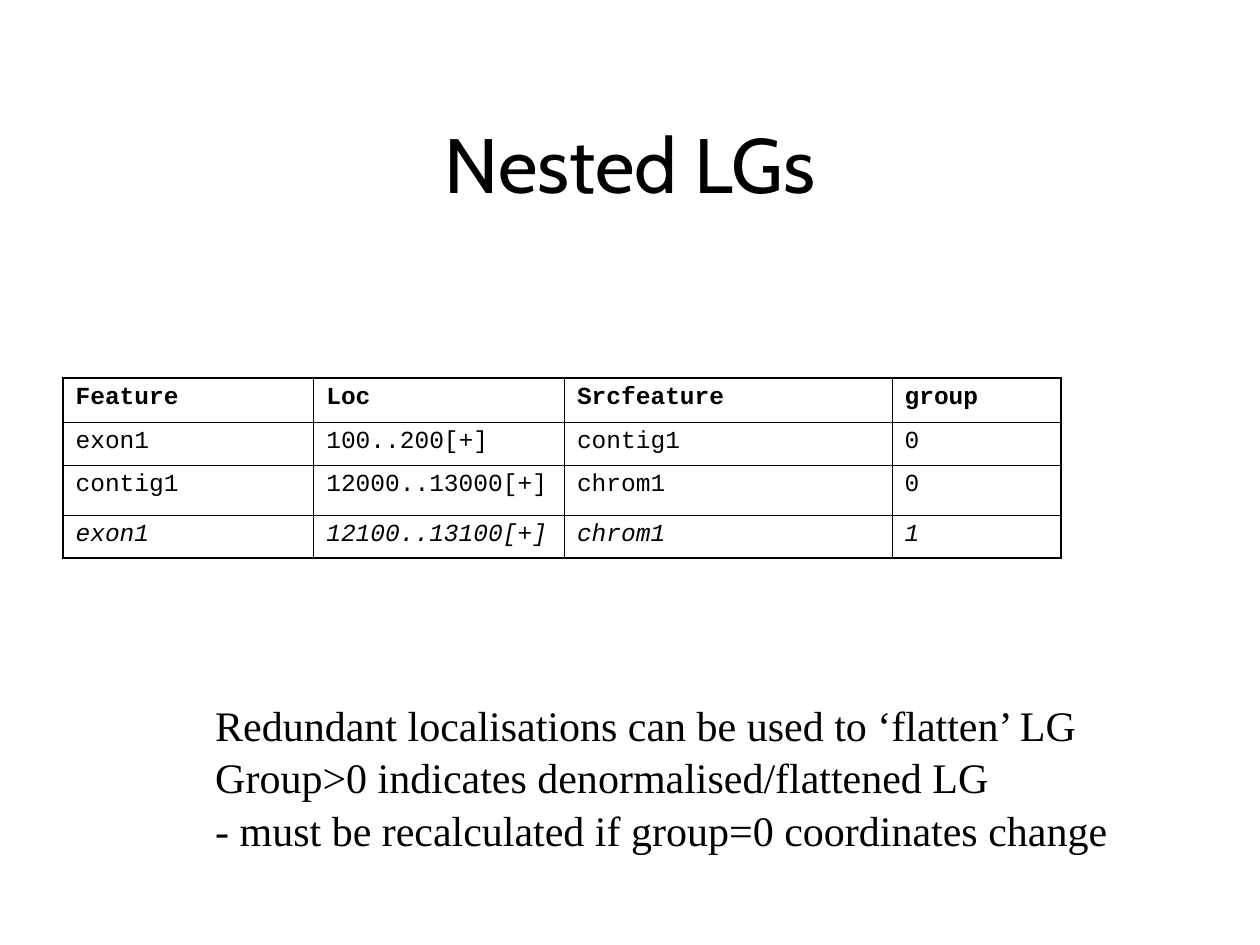
import pptx
import pptx.dml.color
import pptx.enum.text
import pptx.oxml.ns
import pptx.util
from lxml import etree

INK = "000000"
THIN, THICK = 0.45, 1.08
COLS = [1.99, 1.99, 2.6, 1.34]
ROW_HEIGHTS = [0.35, 0.34, 0.4, 0.34]
ROWS = [
    ["Feature", "Loc", "Srcfeature", "group"],
    ["exon1", "100..200[+]", "contig1", "0"],
    ["contig1", "12000..13000[+]", "chrom1", "0"],
    ["exon1", "12100..13100[+]", "chrom1", "1"],
]
NOTES = [
    "Redundant localisations can be used to ‘flatten’ LG",
    "Group>0 indicates denormalised/flattened LG",
    "- must be recalculated if group=0 coordinates change",
]


def color(value):
    return pptx.dml.color.RGBColor.from_string(value)


def box(left, top, width, height):
    return [pptx.util.Inches(v) for v in (left, top, width, height)]


def style(p, name, size, bold=False, italic=False):
    for r in p.runs:
        r.font.name = name
        r.font.size = pptx.util.Pt(size)
        r.font.bold = bold
        r.font.italic = italic
        r.font.color.rgb = color(INK)


def add_title(s, text):
    sp = s.shapes.title
    sp.left, sp.top, sp.width, sp.height = box(0.75, 0.67, 8.5, 1.25)
    tf = sp.text_frame
    tf.text = text
    tf.vertical_anchor = pptx.enum.text.MSO_ANCHOR.MIDDLE
    tf.paragraphs[0].alignment = pptx.enum.text.PP_ALIGN.CENTER
    style(tf.paragraphs[0], "Cabin", 44)


def set_borders(cell, widths):
    qn = pptx.oxml.ns.qn
    tc_pr = cell._tc.get_or_add_tcPr()
    for i, (side, width) in enumerate(widths.items()):
        ln = etree.Element(qn("a:ln" + side), w=str(pptx.util.Pt(width)))
        fill = etree.SubElement(ln, qn("a:solidFill"))
        etree.SubElement(fill, qn("a:srgbClr"), val=INK)
        tc_pr.insert(i, ln)


def add_feature_table(s):
    n_rows, n_cols = len(ROWS), len(COLS)
    frame = s.shapes.add_table(
        n_rows, n_cols, *box(0.5, 3, sum(COLS), sum(ROW_HEIGHTS)))
    table = frame.table
    table.first_row = table.horz_banding = False
    for column, width in zip(table.columns, COLS):
        column.width = pptx.util.Inches(width)
    for row, height in zip(table.rows, ROW_HEIGHTS):
        row.height = pptx.util.Inches(height)
    for i, values in enumerate(ROWS):
        for j, value in enumerate(values):
            cell = table.cell(i, j)
            cell.text_frame.text = value
            cell.fill.background()
            style(cell.text_frame.paragraphs[0], "Courier New", 14,
                  bold=i == 0, italic=i == n_rows - 1)
            outer = {"L": j == 0, "R": j == n_cols - 1,
                     "T": i == 0, "B": i == n_rows - 1}
            set_borders(cell, {side: THICK if edge else THIN
                               for side, edge in outer.items()})


def add_notes(s):
    tf = s.shapes.add_textbox(*box(1.61, 5.48, 7.28, 1.7)).text_frame
    tf.word_wrap = False
    tf.text = "\n".join(NOTES)
    for p in tf.paragraphs:
        p.line_spacing = 1.05
        style(p, "Times New Roman", 24)


def main():
    prs = pptx.Presentation()
    prs.slide_width = pptx.util.Inches(10)
    prs.slide_height = pptx.util.Inches(7.5)
    s = prs.slides.add_slide(prs.slide_layouts[5])
    add_title(s, "Nested LGs")
    add_feature_table(s)
    add_notes(s)
    prs.save("out.pptx")


if __name__ == "__main__":
    main()
